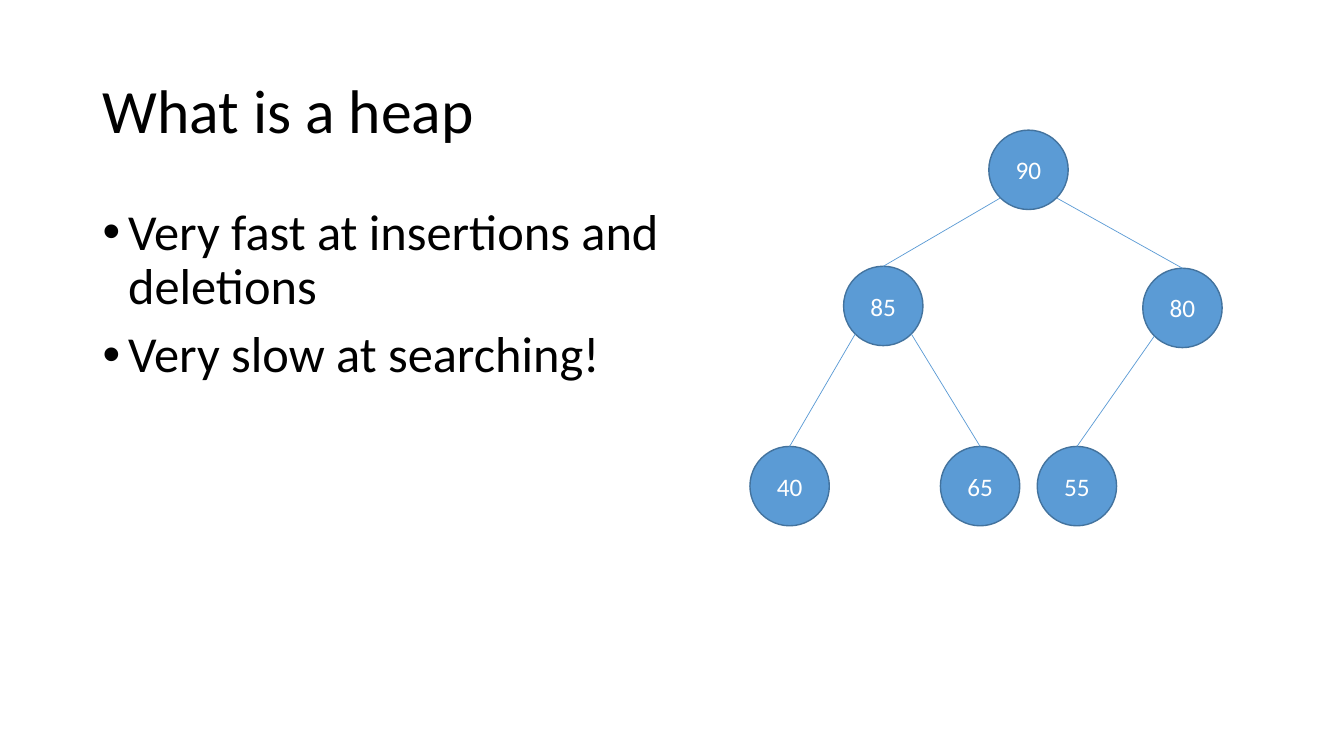
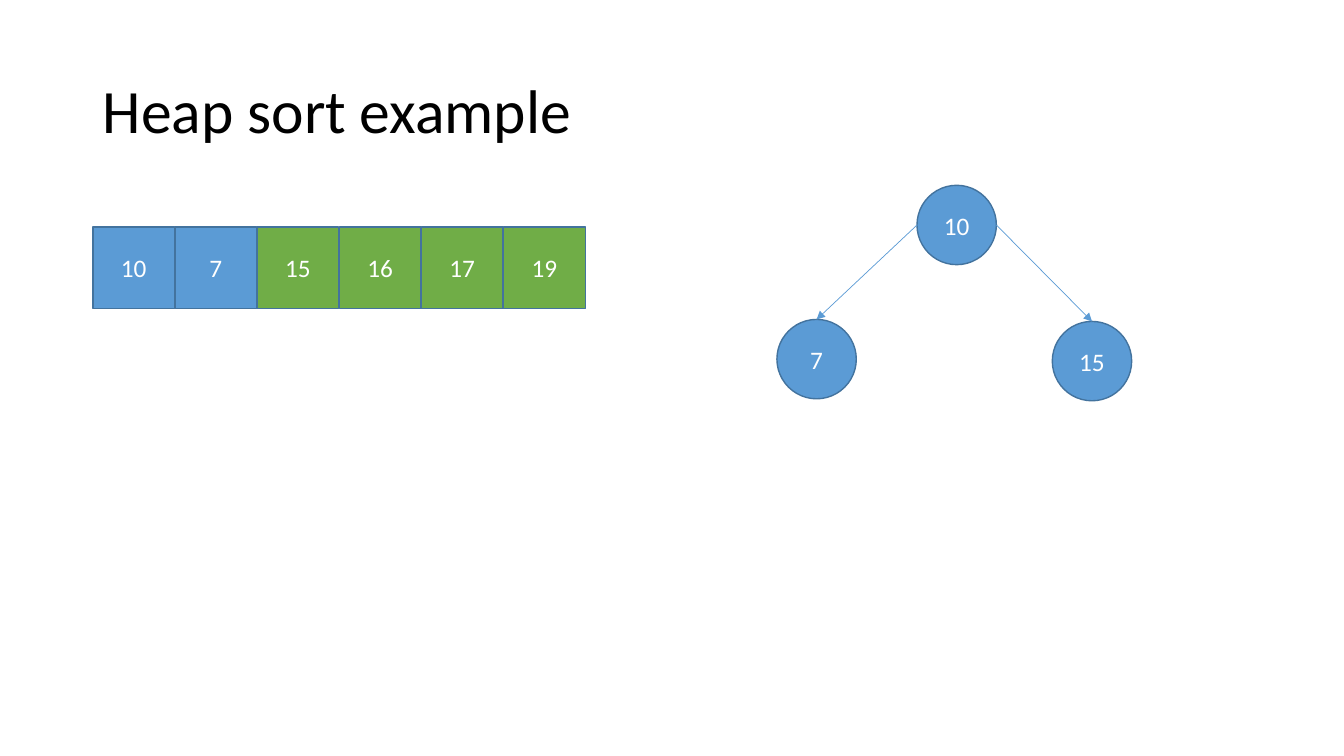
from dataclasses import dataclass
from math import cos, radians, sin

from lxml.etree import SubElement
from pptx import Presentation
from pptx.dml.color import RGBColor
from pptx.enum.shapes import MSO_CONNECTOR, MSO_SHAPE
from pptx.enum.text import MSO_ANCHOR, PP_ALIGN
from pptx.oxml.ns import qn
from pptx.shapes.autoshape import Shape
from pptx.slide import Slide
from pptx.text.text import TextFrame
from pptx.util import Cm, Pt

FONT = "Calibri"
BLACK, WHITE = "000000", "FFFFFF"
BLUE, GREEN, EDGE = "5B9BD5", "70AD47", "43739E"
LEFT = 2.34
NODE = 2.0
CELL, STEP = 2.06, 2.07


@dataclass(frozen=True)
class Node:
    """A tree node: its label, left and top in cm, and its parent's label."""
    label: str
    left: float
    top: float
    parent: str = ""


HEAP = [
    Node("90", 24.92, 3.28),
    Node("85", 21.26, 6.71, "90"),
    Node("80", 28.8, 6.76, "90"),
    Node("40", 18.9, 11.25, "85"),
    Node("65", 23.7, 11.25, "85"),
    Node("55", 26.14, 11.25, "80"),
]
SORT = [
    Node("10", 23.11, 4.67),
    Node("7", 19.58, 8.05, "10"),
    Node("15", 26.52, 8.1, "10"),
]
CELLS = ["10", "7", "15", "16", "17", "19"]
SORTED = 4


def rgb(code: str) -> RGBColor:
    return RGBColor.from_string(code)


def style(frame: TextFrame, size: float, color: str) -> None:
    """Apply size, colour and typeface to every run."""
    for para in frame.paragraphs:
        for run in para.runs:
            run.font.name = FONT
            run.font.size = Pt(size)
            run.font.color.rgb = rgb(color)


def add_text(slide: Slide, text: str, top: float, width: float,
             height: float, size: float) -> TextFrame:
    box = slide.shapes.add_textbox(Cm(LEFT), Cm(top), Cm(width), Cm(height))
    frame = box.text_frame
    frame.word_wrap = True
    frame.text = text
    for para in frame.paragraphs:
        para.line_spacing = 0.9
    style(frame, size, BLACK)
    return frame


def add_title(slide: Slide, text: str) -> None:
    frame = add_text(slide, text, 1.02, 29.21, 3.68, 44)
    frame.vertical_anchor = MSO_ANCHOR.MIDDLE


def add_list(slide: Slide, items: list[str]) -> None:
    frame = add_text(slide, "\n".join(items), 5.08, 16.36, 12.09, 36)
    for para in frame.paragraphs:
        para.space_before = Pt(10)
        props = para._p.get_or_add_pPr()
        props.set("marL", str(Cm(0.64)))
        props.set("indent", str(Cm(-0.64)))
        SubElement(props, qn("a:buFont"), typeface="Arial")
        SubElement(props, qn("a:buChar"), char="•")


def add_item(slide: Slide, kind: MSO_SHAPE, label: str, left: float,
             top: float, size: float, fill: str) -> Shape:
    """Draw a labelled circle or square."""
    shape = slide.shapes.add_shape(kind, Cm(left), Cm(top), Cm(size), Cm(size))
    shape.shadow.inherit = False
    shape.fill.solid()
    shape.fill.fore_color.rgb = rgb(fill)
    shape.line.color.rgb = rgb(EDGE)
    shape.line.width = Pt(1)
    frame = shape.text_frame
    frame.text = label
    frame.vertical_anchor = MSO_ANCHOR.MIDDLE
    frame.paragraphs[0].alignment = PP_ALIGN.CENTER
    style(frame, 18, WHITE)
    return shape


def add_edge(slide: Slide, above: Node, below: Node, child: Shape,
             angle: float, arrow: bool) -> None:
    """Join the parent's rim, at an angle below its middle, to the child."""
    half = NODE / 2
    side = 1 if below.left > above.left else -1
    turn = radians(angle)
    start = (Cm(above.left + half + side * half * cos(turn)),
             Cm(above.top + half + half * sin(turn)))
    line = slide.shapes.add_connector(MSO_CONNECTOR.STRAIGHT, *start, *start)
    line.end_connect(child, 0)
    line.line.color.rgb = rgb(BLUE)
    line.line.width = Pt(0.5)
    if arrow:
        SubElement(line.line._get_or_add_ln(), qn("a:tailEnd"), type="triangle")
    SubElement(line._element.spPr, qn("a:effectLst"))


def add_tree(slide: Slide, nodes: list[Node], angle: float,
             arrow: bool = False) -> None:
    shapes = {
        node.label: add_item(slide, MSO_SHAPE.OVAL, node.label, node.left,
                             node.top, NODE, BLUE)
        for node in nodes
    }
    by_name = {node.label: node for node in nodes}
    for node in nodes:
        if node.parent:
            add_edge(slide, by_name[node.parent], node, shapes[node.label],
                     angle, arrow)


def add_row(slide: Slide, labels: list[str], done: int) -> None:
    """Draw the array, with its last cells marked as sorted."""
    for i, label in enumerate(labels):
        fill = GREEN if i >= len(labels) - done else BLUE
        add_item(slide, MSO_SHAPE.RECTANGLE, label, LEFT + i * STEP, 5.72,
                 CELL, fill)


def main() -> None:
    deck = Presentation()
    deck.slide_width, deck.slide_height = Cm(33.87), Cm(19.05)
    blank = deck.slide_layouts[6]

    slide = deck.slides.add_slide(blank)
    add_title(slide, "What is a heap")
    add_list(slide, ["Very fast at insertions and deletions",
                     "Very slow at searching!"])
    add_tree(slide, HEAP, angle=45)

    slide = deck.slides.add_slide(blank)
    add_title(slide, "Heap sort example")
    add_tree(slide, SORT, angle=0, arrow=True)
    add_row(slide, CELLS, SORTED)

    deck.save("out.pptx")


if __name__ == "__main__":
    main()
